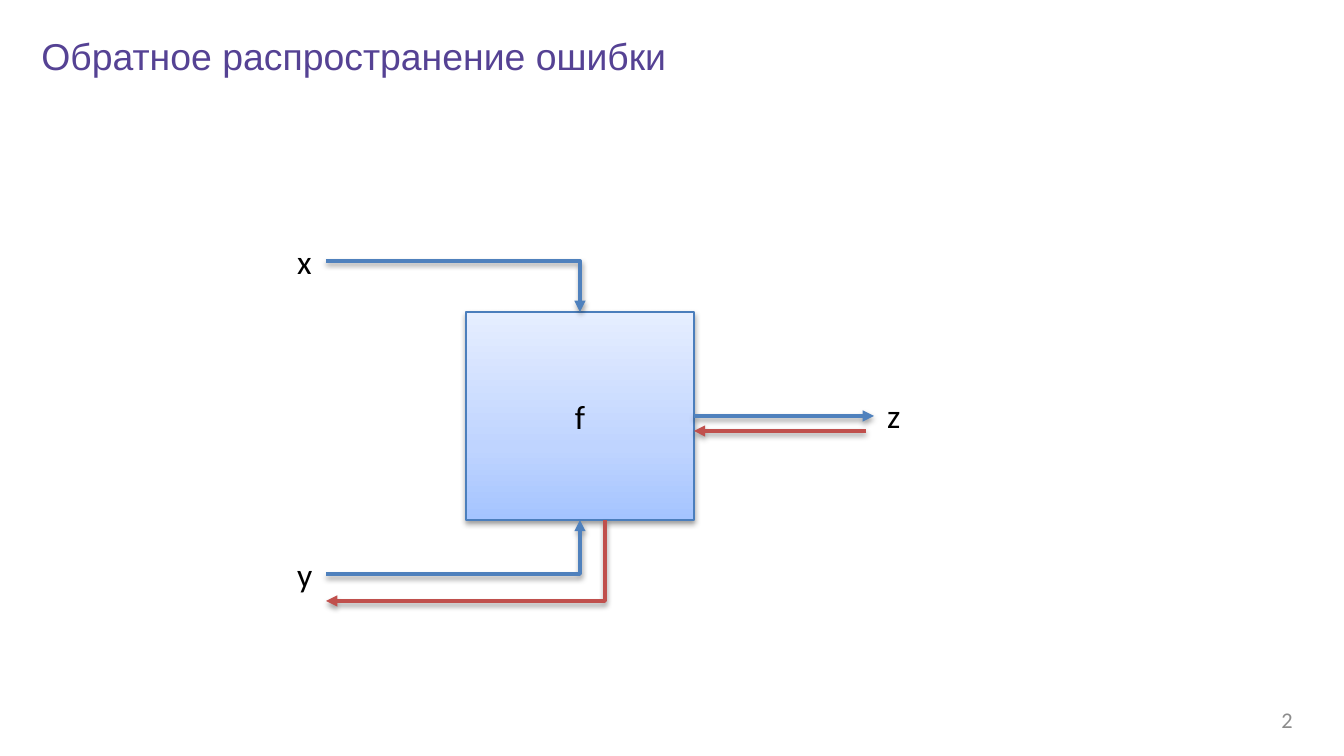
import copy

import pptx
import pptx.util
from lxml import etree
from pptx.dml.color import RGBColor
from pptx.enum.shapes import MSO_CONNECTOR, MSO_SHAPE
from pptx.enum.text import MSO_ANCHOR, PP_ALIGN
from pptx.oxml.ns import qn

PX = 914400 / 134.4
PURPLE = RGBColor(0x55, 0x42, 0x94)
GRAY = RGBColor(0x8C, 0x8C, 0x8C)
BLACK = RGBColor(0, 0, 0)
BLUE = RGBColor(0x4F, 0x81, 0xBD)
RED = RGBColor(0xC0, 0x50, 0x4D)
BORDER = RGBColor(0x4B, 0x7E, 0xBC)
GRADIENT = [
    (0, RGBColor(0xA4, 0xC4, 0xFF)),
    (0.35, RGBColor(0xBF, 0xD4, 0xFF)),
    (1, RGBColor(0xE6, 0xEE, 0xFF)),
]

TITLE = ("Обратное распространение ошибки", (28, 26, 938, 59))
PAGE_NUMBER = ("2", (993, 700, 313, 40))
NODE = ("f", (466, 312, 228, 208))
VARIABLES = [
    ("x", (284, 234, 42, 54)),
    ("y", (284, 547, 42, 54)),
    ("z", (874, 388, 42, 54)),
]

NODE_LEFT, NODE_TOP, NODE_WIDTH, NODE_HEIGHT = NODE[1]
NODE_RIGHT = NODE_LEFT + NODE_WIDTH
NODE_BOTTOM = NODE_TOP + NODE_HEIGHT
NODE_CENTER = NODE_LEFT + NODE_WIDTH // 2
NODE_MIDDLE = NODE_TOP + NODE_HEIGHT // 2

# start, end, colour, end that carries the arrowhead
ARROWS = [
    ((326, 261), (NODE_CENTER, NODE_TOP), BLUE, "tailEnd"),
    ((326, 574), (NODE_CENTER, NODE_BOTTOM), BLUE, "tailEnd"),
    ((NODE_RIGHT, NODE_MIDDLE), (874, NODE_MIDDLE), BLUE, "tailEnd"),
    ((866, 431), (NODE_RIGHT, 431), RED, "tailEnd"),
    ((326, 601), (605, NODE_BOTTOM), RED, "headEnd"),
]


def emu(*lengths):
    return [pptx.util.Emu(round(length * PX)) for length in lengths]


def write(shape, text, size, color, font="Calibri", align=PP_ALIGN.LEFT,
          anchor=MSO_ANCHOR.TOP, wrap=True):
    frame = shape.text_frame
    frame.text = text
    frame.word_wrap = wrap
    frame.vertical_anchor = anchor
    paragraph = frame.paragraphs[0]
    paragraph.alignment = align
    paragraph.font.size = pptx.util.Pt(size)
    paragraph.font.name = font
    paragraph.font.color.rgb = color


def add_shadow(shape):
    """Soft black shadow straight below; call after the line is set."""
    effects = etree.SubElement(shape._element.spPr, qn("a:effectLst"))
    shadow = etree.SubElement(
        effects, qn("a:outerShdw"), blurRad=str(pptx.util.Pt(3.1)),
        dist=str(pptx.util.Pt(1.6)), dir="5400000", rotWithShape="0")
    color = etree.SubElement(shadow, qn("a:srgbClr"), val="000000")
    etree.SubElement(color, qn("a:alpha"), val="38000")


def fill_gradient(shape, stops):
    shape.fill.gradient()
    shape.fill.gradient_angle = 90
    first = shape._element.spPr.find(".//" + qn("a:gs"))
    first.addnext(copy.deepcopy(first))
    for stop, (position, color) in zip(shape.fill.gradient_stops, stops):
        stop.position = position
        stop.color.rgb = color


def add_arrow(slide, start, end, color, head):
    """Straight when level, otherwise across and then up or down."""
    level = start[1] == end[1]
    kind = MSO_CONNECTOR.STRAIGHT if level else MSO_CONNECTOR.ELBOW
    connector = slide.shapes.add_connector(kind, *emu(*start, *end))
    if not level:
        geometry = connector._element.spPr.find(qn("a:prstGeom"))
        geometry.set("prst", "bentConnector2")
    connector.line.color.rgb = color
    connector.line.width = pptx.util.Pt(2)
    line = connector._element.spPr.find(qn("a:ln"))
    etree.SubElement(line, qn("a:" + head), type="triangle")
    add_shadow(connector)


def main():
    presentation = pptx.Presentation()
    presentation.slide_width, presentation.slide_height = emu(1344, 756)
    slide = presentation.slides.add_slide(presentation.slide_layouts[5])

    text, box = TITLE
    title = slide.shapes.title
    title.left, title.top, title.width, title.height = emu(*box)
    write(title, text, 20, PURPLE, font="Arial")

    text, box = PAGE_NUMBER
    number = slide.shapes.add_textbox(*emu(*box))
    write(number, text, 12, GRAY, align=PP_ALIGN.RIGHT, anchor=MSO_ANCHOR.MIDDLE)

    text, box = NODE
    node = slide.shapes.add_shape(MSO_SHAPE.RECTANGLE, *emu(*box))
    fill_gradient(node, GRADIENT)
    node.line.color.rgb = BORDER
    node.line.width = pptx.util.Pt(0.75)
    add_shadow(node)
    write(node, text, 18, BLACK, align=PP_ALIGN.CENTER, anchor=MSO_ANCHOR.MIDDLE)

    for text, box in VARIABLES:
        write(slide.shapes.add_textbox(*emu(*box)), text, 18, BLACK, wrap=False)

    for arrow in ARROWS:
        add_arrow(slide, *arrow)

    presentation.save("out.pptx")


if __name__ == "__main__":
    main()
